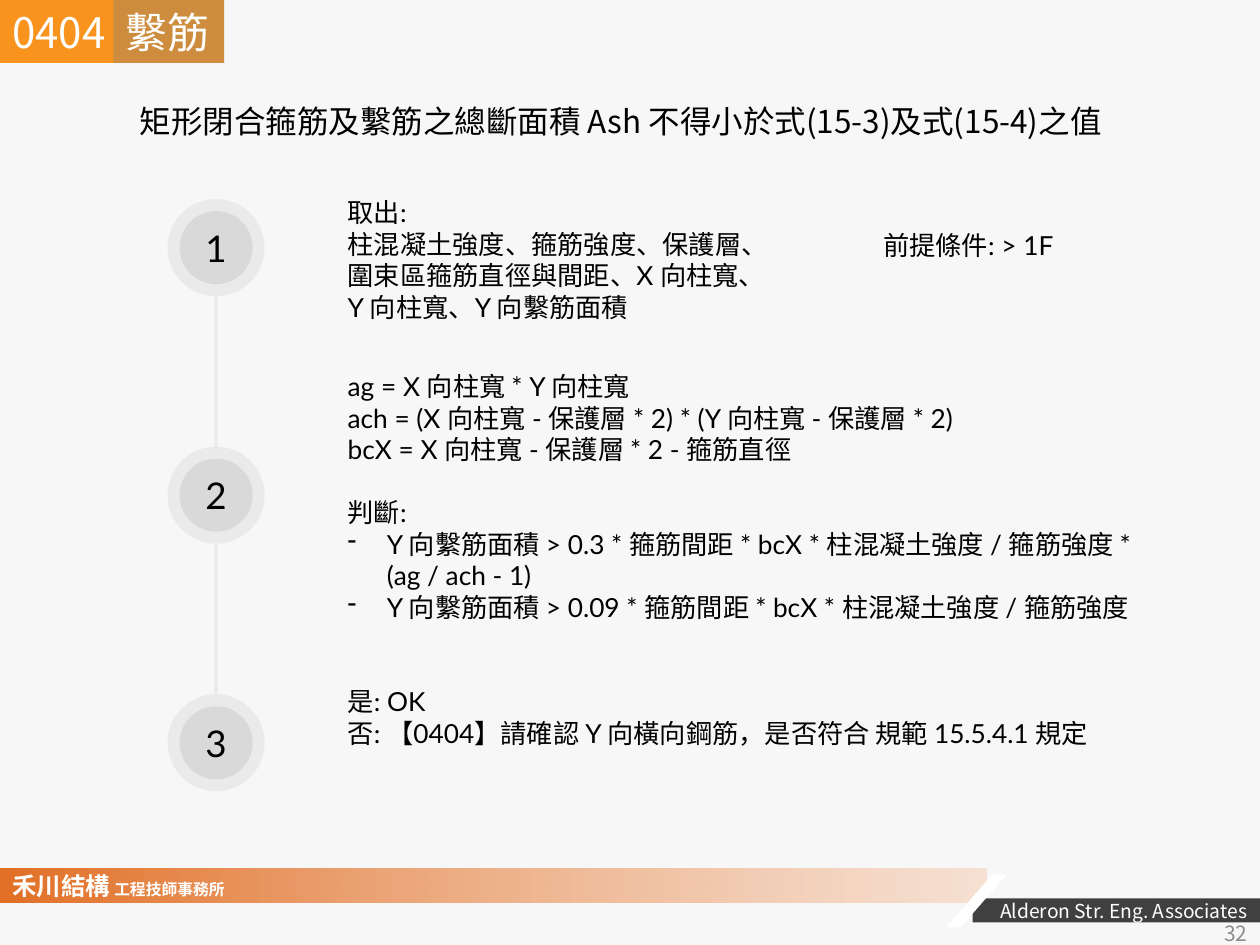
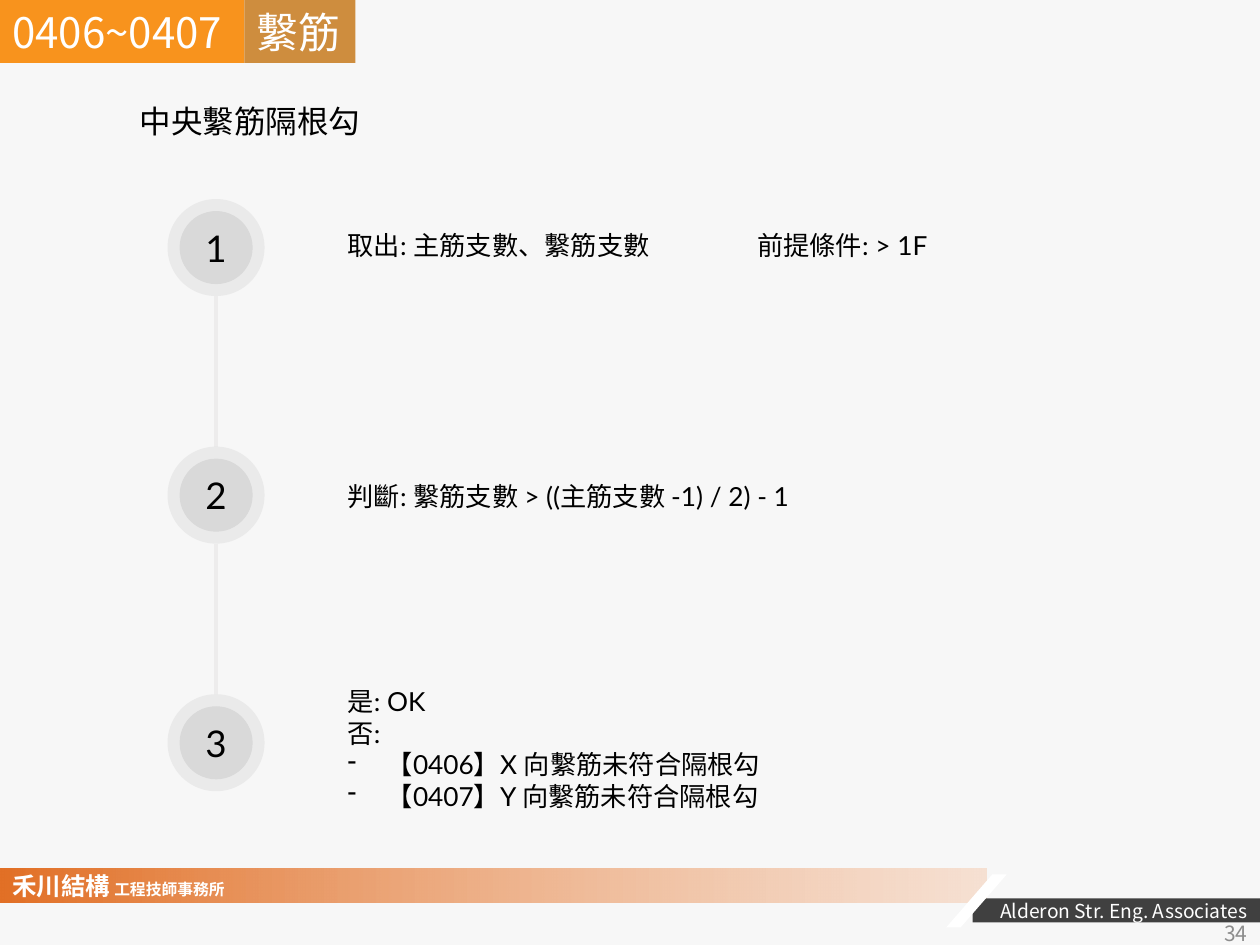
from lxml.etree import SubElement
from pptx import Presentation
from pptx.dml.color import RGBColor
from pptx.enum.shapes import MSO_CONNECTOR, MSO_SHAPE as Preset
from pptx.enum.text import MSO_ANCHOR as Anchor, MSO_AUTO_SIZE as AutoSize, PP_ALIGN as Align
from pptx.oxml.ns import qn
from pptx.util import Inches, Pt

BACKGROUND = RGBColor(0xF7, 0xF7, 0xF7)
WHITE = RGBColor(0xFF, 0xFF, 0xFF)
BLACK = RGBColor(0, 0, 0)
ORANGE = RGBColor(0xF8, 0x93, 0x1D)
BRONZE = RGBColor(0xCE, 0x8D, 0x3E)
BAND_START = RGBColor(0xE2, 0x70, 0x26)
BAND_END = RGBColor(0xF6, 0xD4, 0xBE)
CHARCOAL = RGBColor(0x40, 0x40, 0x40)
PAGE_GRAY = RGBColor(0x8C, 0x8C, 0x8C)
CIRCLE_GRAY = RGBColor(0xD9, 0xD9, 0xD9)
LINE_GRAY = RGBColor(0xED, 0xEC, 0xEC)

SANS, LATO = "Noto Sans CJK SC", "Lato"
WIDTH, HEIGHT = 10, 7.5
BODY_LEFT = 2.76
BODY_INSETS = (0, 0.05, 0.1, 0.05)
FULL_INSETS = (0.1, 0.05, 0.1, 0.05)
BULLET_INDENT = 0.31
PARAGRAPH_GAP = 18
STEP_COUNT, FIRST_STEP, LAST_STEP = 3, 1.58, 5.51
STEP_LEFT, OUTER, INNER = 1.33, 0.77, 0.58

COMPANY, COMPANY_KIND = "禾川結構", " 工程技師事務所"
COMPANY_ENGLISH = "Alderon Str. Eng. Associates"

SLIDES = [
    {
        "code": "0404", "code_width": 0.96, "topic": "繫筋", "topic_left": 0.9, "page": "32",
        "title": "矩形閉合箍筋及繫筋之總斷面積 Ash 不得小於式(15-3)及式(15-4)之值",
        "condition_left": 7.01,
        "steps": [
            (1.51, 3.26, 1.11, [
                ("text", "取出:"),
                ("text", "柱混凝土強度、箍筋強度、保護層、圍束區箍筋直徑與間距、X 向柱寬、Y 向柱寬、Y 向繫筋面積"),
            ]),
            (2.89, 6.75, 2.37, [
                ("text", "ag = X 向柱寬 * Y 向柱寬"),
                ("text", "ach = (X 向柱寬 - 保護層 * 2) * (Y 向柱寬 - 保護層 * 2)"),
                ("text", "bcX = X 向柱寬 - 保護層 * 2 - 箍筋直徑"),
                ("gap", "判斷:"),
                ("bullet", "Y 向繫筋面積 > 0.3 * 箍筋間距 * bcX * 柱混凝土強度 / 箍筋強度 * (ag / ach - 1)"),
                ("bullet", "Y 向繫筋面積 > 0.09 * 箍筋間距 * bcX * 柱混凝土強度 / 箍筋強度"),
            ]),
            (5.39, 6.24, 0.61, [
                ("text", "是: OK"),
                ("text", "否: 【0404】請確認 Y 向橫向鋼筋，是否符合 規範 15.5.4.1 規定"),
            ]),
        ],
    },
    {
        "code": "0406~0407", "code_width": 1.94, "topic": "繫筋", "topic_left": 1.94, "page": "34",
        "title": "中央繫筋隔根勾",
        "condition_left": 6.01,
        "steps": [
            (1.77, 2.63, 0.35, [("text", "取出: 主筋支數、繫筋支數")]),
            (3.76, 4.5, 0.35, [("text", "判斷: 繫筋支數 > ((主筋支數 -1) / 2) - 1")]),
            (5.39, 5.28, 1.11, [
                ("text", "是: OK"),
                ("text", "否:"),
                ("bullet", "【0406】X 向繫筋未符合隔根勾"),
                ("bullet", "【0407】Y 向繫筋未符合隔根勾"),
            ]),
        ],
    },
]
CONDITION = [("text", "前提條件: > 1F")]


def box(left, top, width, height):
    return [Inches(value) for value in (left, top, width, height)]


def set_alpha(shape, percent):
    color = list(shape._element.spPr.iter(qn("a:srgbClr")))[-1]
    SubElement(color, qn("a:alpha"), val=str(percent * 1000))


def add_block(slide, preset, area, color):
    shape = slide.shapes.add_shape(preset, *box(*area))
    shape.shadow.inherit = False
    shape.line.fill.background()
    shape.fill.solid()
    shape.fill.fore_color.rgb = color
    return shape


def set_frame(shape, insets=FULL_INSETS, anchor=Anchor.TOP):
    frame = shape.text_frame
    frame.word_wrap = True
    frame.auto_size = AutoSize.NONE
    frame.vertical_anchor = anchor
    frame.margin_left, frame.margin_top, frame.margin_right, frame.margin_bottom = map(Inches, insets)
    return frame


def set_font(paragraph, size, color, name=SANS, align=Align.LEFT):
    paragraph.alignment = align
    font = paragraph.font
    font.size, font.name, font.color.rgb = Pt(size), name, color
    SubElement(paragraph._p.pPr.find(qn("a:defRPr")), qn("a:ea"), typeface=SANS)


def write(shape, text, size, color, name=SANS, align=Align.LEFT, insets=FULL_INSETS, anchor=Anchor.TOP):
    paragraph = set_frame(shape, insets, anchor).paragraphs[0]
    paragraph.text = text
    set_font(paragraph, size, color, name, align)


def add_body(slide, area, lines):
    frame = set_frame(slide.shapes.add_textbox(*box(*area)), BODY_INSETS)
    for index, (kind, text) in enumerate(lines):
        paragraph = frame.add_paragraph() if index else frame.paragraphs[0]
        paragraph.text = text
        if kind == "gap":
            paragraph.space_before = Pt(PARAGRAPH_GAP)
        if kind == "bullet":
            properties = paragraph._p.get_or_add_pPr()
            properties.set("marL", str(Inches(BULLET_INDENT)))
            properties.set("indent", str(-Inches(BULLET_INDENT)))
            SubElement(properties, qn("a:buChar"), char="-")
        set_font(paragraph, 15, BLACK, LATO)


def add_footer(slide, page):
    band = add_block(slide, Preset.RECTANGLE, (0, 6.89, 7.83, 0.27), BAND_START)
    band.fill.gradient()
    band.fill.gradient_angle = 0
    for stop, color in zip(band.fill.gradient_stops, (BAND_START, BAND_END)):
        stop.color.rgb = color
    set_alpha(band, 64)

    bar = add_block(slide, Preset.RECTANGLE, (7.72, 7.13, 2.28, 0.19), CHARCOAL)
    write(bar, COMPANY_ENGLISH, 11, WHITE, align=Align.RIGHT, insets=(0, 0, 0.1, 0), anchor=Anchor.MIDDLE)

    company = slide.shapes.add_textbox(*box(0, 6.86, 4.42, 0.49))
    paragraph = set_frame(company).paragraphs[0]
    for text, size in ((COMPANY, 14), (COMPANY_KIND, 9)):
        run = paragraph.add_run()
        run.text = text
        run.font.size, run.font.bold = Pt(size), True
    set_font(paragraph, 14, WHITE)

    slash = add_block(slide, Preset.PARALLELOGRAM, (7.51, 6.94, 0.48, 0.42), WHITE)
    slash.adjustments[0] = 0.87
    number = slide.shapes.add_textbox(*box(7.75, 7.21, 2.25, 0.4))
    write(number, page, 12, PAGE_GRAY, align=Align.RIGHT, anchor=Anchor.MIDDLE)


def add_timeline(slide):
    pitch = (LAST_STEP - FIRST_STEP) / (STEP_COUNT - 1)
    inset = (OUTER - INNER) / 2
    center = Inches(STEP_LEFT + OUTER / 2)
    for index in range(STEP_COUNT):
        top = FIRST_STEP + index * pitch
        add_block(slide, Preset.OVAL, (STEP_LEFT + inset, top + inset, INNER, INNER), CIRCLE_GRAY)
        ring = add_block(slide, Preset.OVAL, (STEP_LEFT, top, OUTER, OUTER), CIRCLE_GRAY)
        set_alpha(ring, 42)
        write(ring, str(index + 1), 21, BLACK, LATO, Align.CENTER, anchor=Anchor.MIDDLE)
        if index < STEP_COUNT - 1:
            line = slide.shapes.add_connector(
                MSO_CONNECTOR.STRAIGHT, center, Inches(top + OUTER), center, Inches(top + pitch))
            line.line.color.rgb = LINE_GRAY
            line.line.width = Pt(2.25)
            SubElement(line._element.spPr, qn("a:effectLst"))


def add_heading(slide, content):
    title = slide.shapes.title
    title.left, title.top, title.width, title.height = box(1.01, 0.76, 7.87, 0.4)
    write(title, content["title"], 18, BLACK)
    tags = (
        (content["code"], 0, content["code_width"], ORANGE),
        (content["topic"], content["topic_left"], 0.88, BRONZE),
    )
    for text, left, width, color in tags:
        tag = add_block(slide, Preset.RECTANGLE, (left, 0, width, 0.5), color)
        write(tag, text, 24, WHITE, insets=(0.1, 0.05, 0, 0.05))


def main():
    presentation = Presentation()
    presentation.slide_width, presentation.slide_height = Inches(WIDTH), Inches(HEIGHT)
    background = presentation.slide_master.background.fill
    background.solid()
    background.fore_color.rgb = BACKGROUND
    for content in SLIDES:
        slide = presentation.slides.add_slide(presentation.slide_layouts.get_by_name("Title Only"))
        add_footer(slide, content["page"])
        add_heading(slide, content)
        add_timeline(slide)
        for top, width, height, lines in content["steps"]:
            add_body(slide, (BODY_LEFT, top, width, height), lines)
        add_body(slide, (content["condition_left"], 1.77, 2.24, 0.35), CONDITION)
    presentation.save("out.pptx")


if __name__ == "__main__":
    main()
